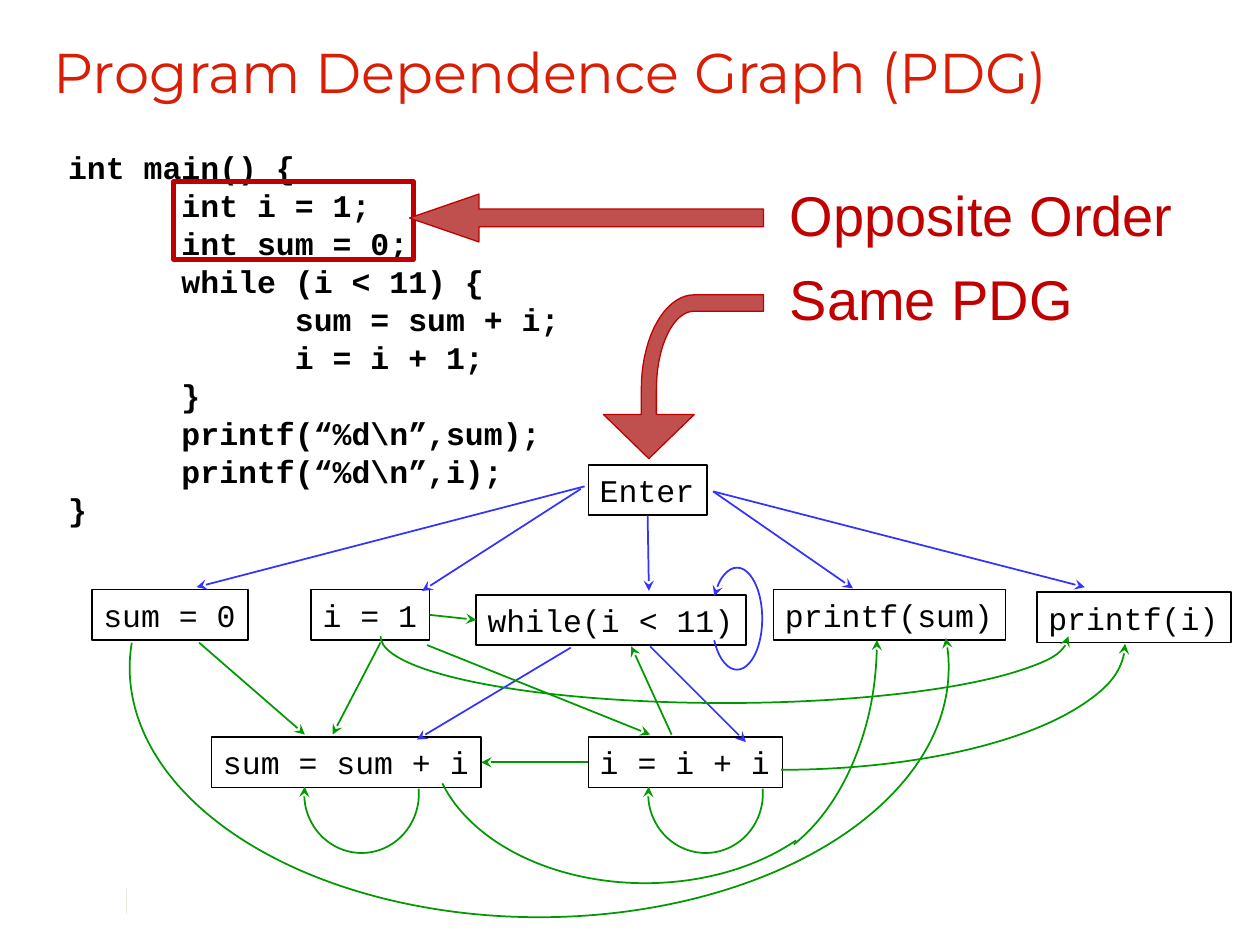
import math
from dataclasses import dataclass
from typing import Optional

import lxml.etree
import pptx
import pptx.dml.color
import pptx.enum.shapes
import pptx.enum.text
import pptx.oxml.ns
import pptx.util

# The page is a grid of 100 columns by 75 rows; every place is (column, row).
COLUMNS, ROWS = 100, 75
CELL = pptx.util.Inches(0.1)
SHAPES = pptx.enum.shapes.MSO_SHAPE
BLACK, CONTROL, DATA = "000000", "3333FF", "009900"
RED, BRICK, TITLE_RED, PALE = "C00000", "C0504D", "D81E05", "EEECE1"
CODE_FONT, CODE_PITCH = "Courier New", pptx.util.Pt(21.7)
TAB_STEP = 9
LABEL_INSET = 0.9

Point = tuple[float, float]


@dataclass
class Node:
    text: str
    column: float
    row: float
    width: float


@dataclass
class Edge:
    start: Point
    end: Point
    color: str
    source: Optional[tuple[str, int]] = None  # node and side to join
    target: Optional[tuple[str, int]] = None


@dataclass
class Arc:
    center: Point
    radii: Point
    degrees: Point  # clockwise from the right
    color: str = DATA
    arrow: Optional[str] = "headEnd"


CODE = [
    "int main() {", "\tint i = 1;", "\tint sum = 0;", "\twhile (i < 11) {",
    "\t\tsum = sum + i;", "\t\ti = i + 1;", "\t}",
    "\tprintf(“%d\\n”,sum);", "\tprintf(“%d\\n”,i);", "}",
]
NODES = [
    Node("Enter", 46.7, 36.9, 9.4),
    Node("sum = 0", 7.3, 46.8, 12.4),
    Node("i = 1", 24.7, 46.8, 9.4),
    Node("while(i < 11)", 37.8, 47.2, 21.4),
    Node("printf(sum)", 61.4, 46.8, 18.4),
    Node("printf(i)", 82.3, 47, 15.4),
    Node("sum = sum + i", 16.8, 58.5, 21.4),
    Node("i = i + i", 46.7, 58.5, 15.4),
]
EDGES = [
    Edge((45.3, 51.4), (33.1, 58.7), CONTROL),
    Edge((46.4, 38.6), (15.6, 46.6), CONTROL),
    Edge((46.1, 38.8), (33.5, 46.9), CONTROL),
    Edge((56.6, 39), (67.7, 46.7), CONTROL),
    Edge((56.6, 39), (86.1, 46.6), CONTROL),
    Edge((51.4, 41), (51.5, 46.9), CONTROL, source=("Enter", 2)),
    Edge((51.6, 51.3), (59.2, 58.9), CONTROL),
    Edge((15.8, 51), (24.2, 58.3), DATA),
    Edge((30.2, 51), (26.4, 58.3), DATA),
    Edge((34.1, 49.1), (37.9, 49.1), DATA, ("i = 1", 3), ("while(i < 11)", 1)),
    Edge((33.9, 51.2), (51.6, 58.3), DATA),
    Edge((53.3, 58.3), (50.1, 51.3), DATA),
    Edge((46.5, 60.3), (38.3, 60.3), DATA, ("i = i + i", 1), ("sum = sum + i", 3)),
]
ARCS = [
    Arc((42.8, 53), (32.5, 19.8), (-4.2, 183.5)),
    Arc((57.5, 50.5), (27.3, 5.3), (0, 180)),
    Arc((28.7, 63), (4.55, 4.7), (-5, 187), arrow="tailEnd"),
    Arc((56, 63), (4.55, 4.7), (-5, 187), arrow="tailEnd"),
    Arc((51.2, 58.4), (17, 11.7), (34.7, 166.8), arrow=None),
    Arc((56.9, 50.8), (12.7, 18.5), (0, 69.4)),
    Arc((62, 51.1), (27.3, 10), (0, 90)),
    Arc((58.5, 49.1), (2, 4.05), (225, 136.5), CONTROL),
]


def rgb(color: str) -> pptx.dml.color.RGBColor:
    return pptx.dml.color.RGBColor.from_string(color)


def grid(*cells: float) -> list[int]:
    return [round(cell * CELL) for cell in cells]


def add_child(parent, tag: str, **attributes: str):
    return lxml.etree.SubElement(parent, pptx.oxml.ns.qn(tag), **attributes)


def style(shape, line: str, points: float, fill: Optional[str] = None) -> None:
    shape.shadow.inherit = False
    if fill:
        shape.fill.solid()
        shape.fill.fore_color.rgb = rgb(fill)
    else:
        shape.fill.background()
    shape.line.color.rgb = rgb(line)
    shape.line.width = pptx.util.Pt(points)


def add_arrowhead(shape, end: str) -> None:
    outline = shape.element.spPr.find(pptx.oxml.ns.qn("a:ln"))
    add_child(outline, f"a:{end}", type="stealth")


def write(shape, text: str, size: float, font: str, color: str, bold: bool = False,
          spacing=None, inset: float = 1, wrap: bool = False, tabs: int = 0) -> None:
    frame = shape.text_frame
    frame.text = text
    frame.word_wrap = wrap
    frame.vertical_anchor = pptx.enum.text.MSO_ANCHOR.TOP
    frame.margin_left = frame.margin_right = grid(inset)[0]
    for para in frame.paragraphs:
        para.alignment = pptx.enum.text.PP_ALIGN.LEFT
        if tabs:
            stops = add_child(para._p.get_or_add_pPr(), "a:tabLst")
            for stop in range(1, tabs + 1):
                add_child(stops, "a:tab", pos=str(grid(stop * TAB_STEP)[0]), algn="l")
        if spacing:
            para.line_spacing = spacing
        for span in para.runs:
            span.font.size = pptx.util.Pt(size)
            span.font.name = font
            span.font.bold = bold
            span.font.color.rgb = rgb(color)


def add_line(page, start: Point, end: Point, color: str, points: float):
    line = page.shapes.add_connector(
        pptx.enum.shapes.MSO_CONNECTOR.STRAIGHT, *grid(*start, *end))
    line.line.color.rgb = rgb(color)
    line.line.width = pptx.util.Pt(points)
    add_child(line.element.spPr, "a:effectLst")
    return line


def add_node(page, node: Node):
    box = page.shapes.add_shape(
        SHAPES.RECTANGLE, *grid(node.column, node.row, node.width, 4))
    style(box, BLACK, 1)
    write(box, node.text, 18, CODE_FONT, BLACK, spacing=CODE_PITCH, inset=LABEL_INSET)
    return box


def add_edge(page, edge: Edge, boxes: dict) -> None:
    line = add_line(page, edge.start, edge.end, edge.color, 1)
    add_arrowhead(line, "tailEnd")
    if edge.source:
        line.begin_connect(boxes[edge.source[0]], edge.source[1])
    if edge.target:
        line.end_connect(boxes[edge.target[0]], edge.target[1])


def add_arc(page, arc: Arc) -> None:
    (x, y), (rx, ry) = arc.center, arc.radii
    curve = page.shapes.add_shape(SHAPES.ARC, *grid(x - rx, y - ry, 2 * rx, 2 * ry))
    for index, angle in enumerate(arc.degrees):
        curve.adjustments[index] = angle % 360 * 0.6  # 60000ths of a degree / 100000
    style(curve, arc.color, 1)
    if arc.arrow:
        add_arrowhead(curve, arc.arrow)


def bend(center: Point, radii: Point) -> list[Point]:
    """Quarter ellipse from its left end to its top."""
    angles = [math.radians(step * 5) for step in range(19)]
    return [(center[0] - radii[0] * math.cos(a), center[1] - radii[1] * math.sin(a))
            for a in angles]


def add_bent_arrow(page) -> None:
    corner = (55.1, 30.9)
    outline = [(51.5, 36.4), (47.9, 32.9), (50.9, 32.9), *bend(corner, (4.2, 7.5)),
               (60.6, 23.4), (60.6, 24.7), *reversed(bend(corner, (3, 6.2))),
               (52.1, 32.9), (55.1, 32.9)]
    points = [tuple(grid(*point)) for point in outline]
    builder = page.shapes.build_freeform(*points[0])
    builder.add_line_segments(points[1:], close=True)
    style(builder.convert_to_shape(), RED, 0.75, BRICK)


def main() -> None:
    deck = pptx.Presentation()
    deck.slide_width, deck.slide_height = grid(COLUMNS, ROWS)
    page = deck.slides.add_slide(deck.slide_layouts[6])

    # Footer rule, title and code
    add_line(page, (10, 70.5), (10, 72.5), PALE, 0.25)
    title = page.shapes.add_textbox(*grid(3.3, 2.5, 94.2, 9.2))
    write(title, "Program Dependence Graph (PDG)", 32, "Montserrat", TITLE_RED, wrap=True)
    code = page.shapes.add_textbox(*grid(4.5, 11.2, 41.1, 31.2))
    write(code, "\n".join(CODE), 18, CODE_FONT, BLACK, bold=True,
          spacing=CODE_PITCH, inset=LABEL_INSET, tabs=2)

    # Dependence graph
    boxes = {node.text: add_node(page, node) for node in NODES}
    for edge in EDGES:
        add_edge(page, edge, boxes)
    for arc in ARCS:
        add_arc(page, arc)

    # Remarks and the arrows that lead from them
    frame = page.shapes.add_shape(SHAPES.RECTANGLE, *grid(13.8, 14.4, 19, 6.2))
    style(frame, RED, 3)
    arrow = page.shapes.add_shape(SHAPES.LEFT_ARROW, *grid(32.5, 15.4, 28.1, 3.8))
    arrow.adjustments[0], arrow.adjustments[1] = 0.37, 1.45
    style(arrow, RED, 0.75, BRICK)
    add_bent_arrow(page)
    for text, row, width in [("Opposite Order", 14.4, 32.6), ("Same PDG", 21.1, 24.7)]:
        remark = page.shapes.add_textbox(*grid(61.7, row, width, 5.9))
        write(remark, text, 32, "Arial", RED, spacing=0.9)

    deck.save("out.pptx")


if __name__ == "__main__":
    main()
